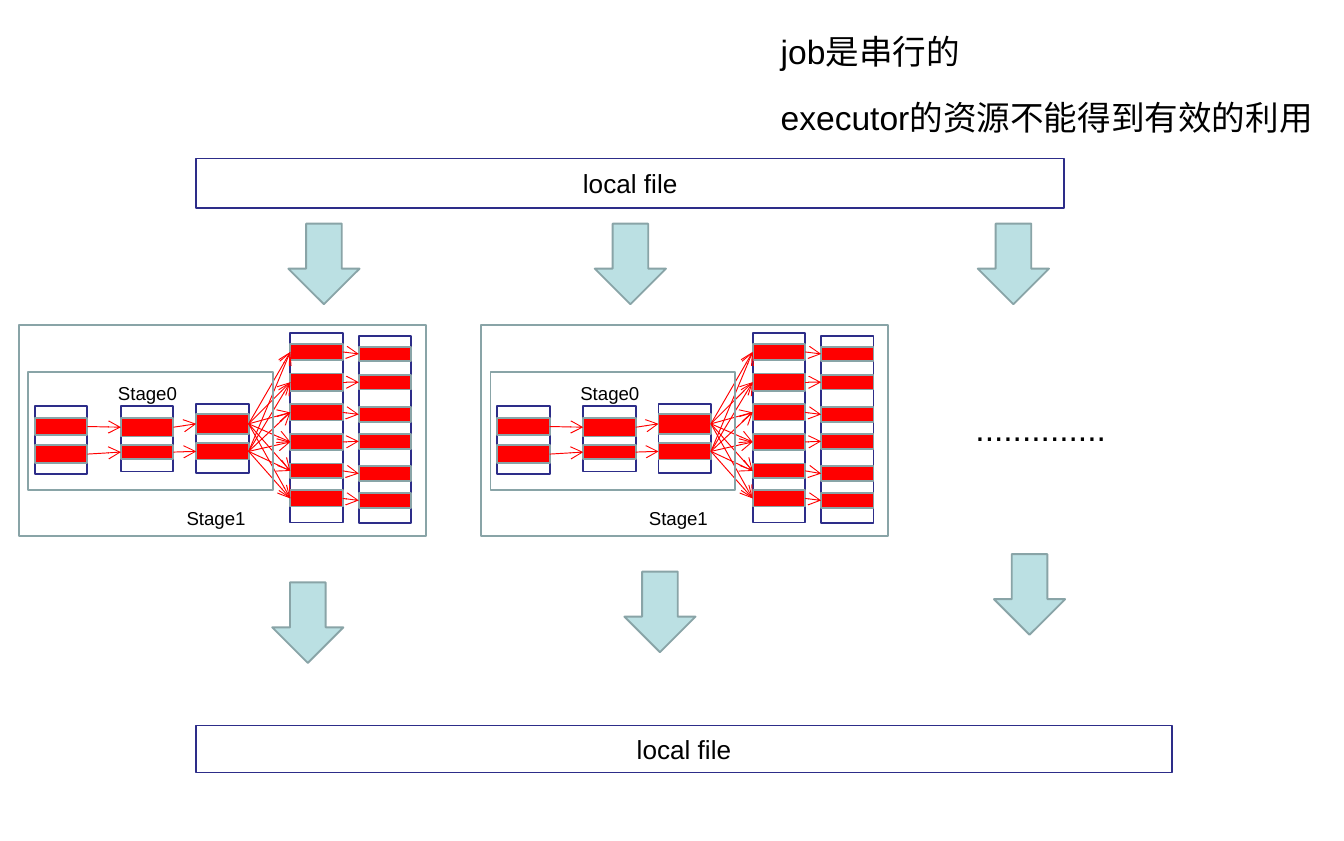
from itertools import pairwise, product

from lxml import etree
from pptx import Presentation
from pptx import util as u
from pptx.dml.color import RGBColor
from pptx.enum import shapes, text
from pptx.oxml.ns import qn

COLORS = {"navy": "2D2D89", "grey": "89A4A7", "red": "FF0000",
          "teal": "BBE0E3", "white": "FFFFFF", "black": "000000"}

deck = Presentation()
deck.slide_width, deck.slide_height = u.Inches(10), u.Inches(6.26)
page = deck.slides.add_slide(deck.slide_layouts[6])


def add_text(content, at, size=18, box=None, align=text.PP_ALIGN.LEFT):
    """Write text into a given box, or into a new self-sizing text box."""
    if box is None:
        box = page.shapes.add_textbox(*map(u.Inches, at))
        box.text_frame.word_wrap = False
        box.text_frame.auto_size = text.MSO_AUTO_SIZE.SHAPE_TO_FIT_TEXT
    para = box.text_frame.paragraphs[0]
    para.alignment = align
    span = para.add_run()
    span.text = content
    span.font.size = u.Pt(size)
    span.font.name = "Arial"
    span.font.color.rgb = RGBColor.from_string(COLORS["black"])


def add_box(at, fill, line, preset=shapes.MSO_SHAPE.RECTANGLE):
    box = page.shapes.add_shape(preset, *map(u.Inches, at))
    box.shadow.inherit = False
    if fill:
        box.fill.solid()
        box.fill.fore_color.rgb = RGBColor.from_string(COLORS[fill])
    else:
        box.fill.background()
    box.line.color.rgb = RGBColor.from_string(COLORS[line])
    box.line.width = u.Pt(1)
    return box


# Input and output files
for at in ((1.46, 1.18, 6.46, 0.37), (1.46, 5.4, 7.26, 0.35)):
    file_box = add_box(at, "white", "navy")
    file_box.text_frame.vertical_anchor = text.MSO_ANCHOR.MIDDLE
    add_text("local file", at, 14, file_box, text.PP_ALIGN.CENTER)

# Datasets of one job: left, top, height, then top and height of each partition
DATASETS = [
    (0.26, 3.02, 0.51, [(3.11, 0.13), (3.31, 0.14)]),
    (0.9, 3.02, 0.49, [(3.11, 0.14), (3.31, 0.11)]),
    (1.46, 3.01, 0.51, [(3.08, 0.15), (3.3, 0.12)]),
    (2.16, 2.48, 1.41, [(2.56, 0.12), (2.78, 0.13), (3.01, 0.12),
                        (3.23, 0.12), (3.45, 0.11), (3.65, 0.12)]),
    (2.67, 2.5, 1.39, [(top, 0.11) for top in
                       (2.58, 2.79, 3.03, 3.23, 3.47, 3.67)]),
]
DATASET_WIDTH = 0.39
JOB_STEP = 3.44

for job in range(2):
    shift = job * JOB_STEP

    # Datasets with their partitions
    for left, top, height, partitions in DATASETS:
        add_box((left + shift, top, DATASET_WIDTH, height), "white", "navy")
        for part_top, part_height in partitions:
            add_box((left + shift, part_top, DATASET_WIDTH, part_height), "red", "grey")

    # Dependencies: one to one, or a full shuffle where the partition count changes
    for (left, _, _, sources), (next_left, _, _, targets) in pairwise(DATASETS):
        pair_up = zip if len(sources) == len(targets) else product
        for (top, height), (next_top, next_height) in pair_up(sources, targets):
            ends = (left + DATASET_WIDTH + shift, top + height / 2,
                    next_left + shift, next_top + next_height / 2)
            arrow = page.shapes.add_connector(
                shapes.MSO_CONNECTOR.STRAIGHT, *map(u.Inches, ends))
            arrow.line.color.rgb = RGBColor.from_string(COLORS["red"])
            arrow.line.width = u.Pt(0.5)
            etree.SubElement(arrow.line._get_or_add_ln(), qn("a:tailEnd"), type="arrow")
            etree.SubElement(arrow._element.spPr, qn("a:effectLst"))

    # Stage frames and labels
    add_box((0.21 + shift, 2.77, 1.82, 0.88), None, "grey")
    add_box((0.14 + shift, 2.42, 3.03, 1.57), None, "grey")
    add_text("Stage0", (0.78 + shift, 2.79, 0.64, 0.27), 10)
    add_text("Stage1", (1.29 + shift, 3.72, 0.64, 0.27), 10)

# Block arrows from the input file and to the output file
for left, top in ((2.11, 1.7), (4.39, 1.7), (7.24, 1.7),
                  (1.99, 4.37), (4.61, 4.29), (7.36, 4.16)):
    flow = add_box((left, top, 0.6, 0.53), "teal", "grey", shapes.MSO_SHAPE.RIGHT_ARROW)
    flow.rotation = 90

# Further jobs and remarks
add_text("..............", (7.16, 2.99, 1.17, 0.4))
add_text("job是串行的", (5.71, 0.18, 1.59, 0.4))
add_text("executor的资源不能得到有效的利用", (5.71, 0.67, 4.22, 0.4))

deck.save("out.pptx")
